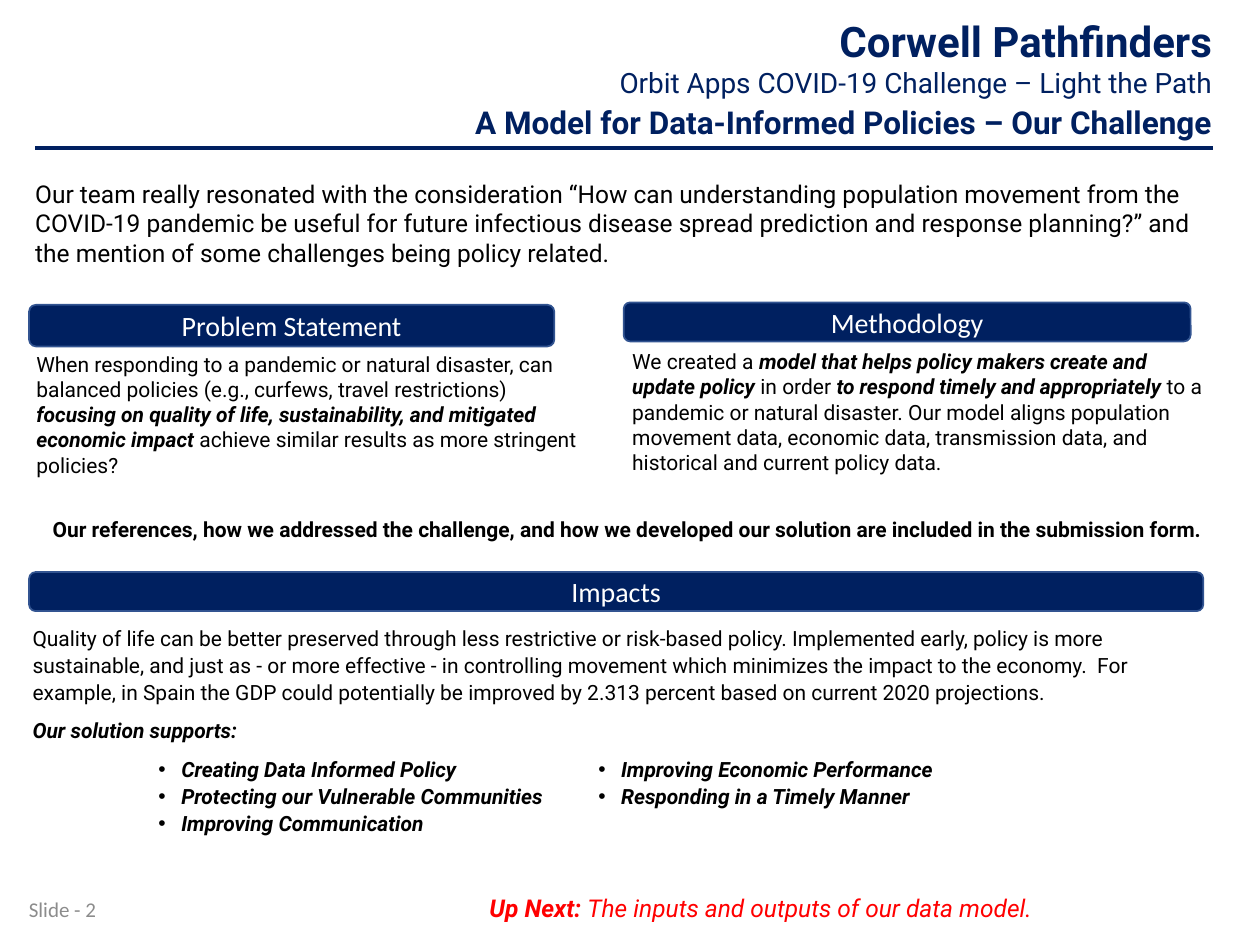
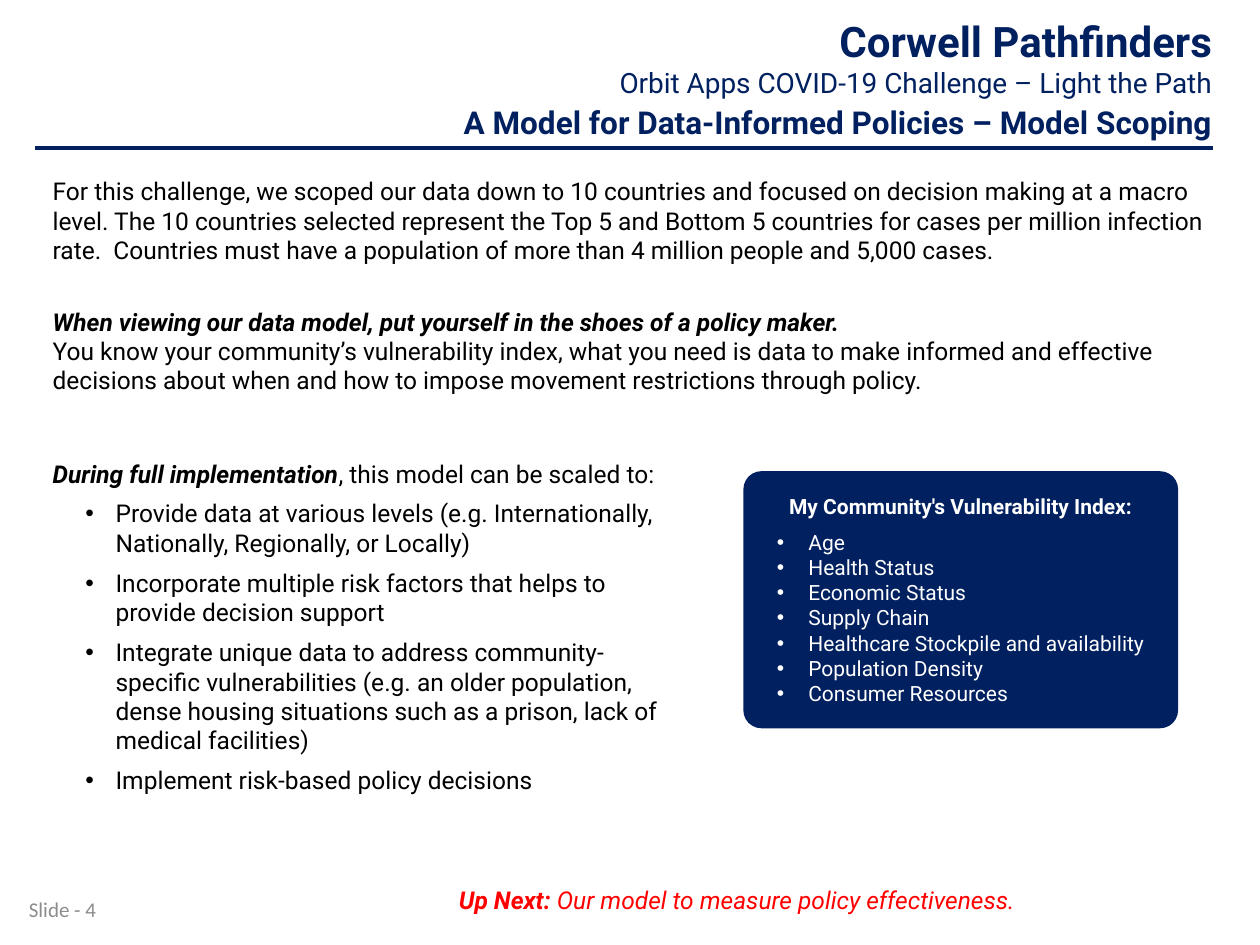
from lxml import etree
from pptx import Presentation
from pptx.dml.color import RGBColor
from pptx.enum.shapes import MSO_CONNECTOR, MSO_SHAPE
from pptx.enum.text import MSO_ANCHOR, MSO_AUTO_SIZE, PP_ALIGN
from pptx.oxml.ns import qn
from pptx.util import Pt

LEFT, CENTER, RIGHT = PP_ALIGN.LEFT, PP_ALIGN.CENTER, PP_ALIGN.RIGHT
TOP, MIDDLE = MSO_ANCHOR.TOP, MSO_ANCHOR.MIDDLE
ROUNDED = MSO_SHAPE.ROUNDED_RECTANGLE
COLORS = {
    "navy": "002060",
    "outline": "325491",
    "white": "FFFFFF",
    "black": "000000",
    "gray": "8C8C8C",
    "red": "FF0000",
}
BODY_FONT, LABEL_FONT = "Roboto", "Calibri"
LOOSE = 1.07


def write_text(shape, paragraphs, size, color="black", font=BODY_FONT, align=LEFT, anchor=TOP,
               spacing=None, before=None, after=None, indent=0, hanging=0):
    """Append paragraphs, each a list of (text, style) runs; style holds b and i, hanging adds a bullet."""
    frame = shape.text_frame
    frame.word_wrap = True
    frame.auto_size = MSO_AUTO_SIZE.NONE
    frame.vertical_anchor = anchor
    for runs in paragraphs:
        paragraph = frame.paragraphs[0] if not frame.text else frame.add_paragraph()
        paragraph.alignment = align
        if spacing:
            paragraph.line_spacing = spacing
        if before:
            paragraph.space_before = Pt(before)
        if after:
            paragraph.space_after = Pt(after)
        properties = paragraph._p.get_or_add_pPr()
        properties.set("marL", str(Pt(indent)))
        properties.set("indent", str(-Pt(hanging)))
        if hanging:
            etree.SubElement(properties, qn("a:buFont")).set("typeface", "Arial")
            etree.SubElement(properties, qn("a:buChar")).set("char", "•")
        for text, style in runs:
            run = paragraph.add_run()
            run.text = text
            run.font.name = font
            run.font.size = Pt(size)
            run.font.bold = "b" in style
            run.font.italic = "i" in style
            run.font.color.rgb = RGBColor.from_string(COLORS[color])


def add_box(slide, box, fill=None, outline=None, rounded=True):
    left, top, width, height = [Pt(length) for length in box]
    if not rounded:
        return slide.shapes.add_textbox(left, top, width, height)
    shape = slide.shapes.add_shape(ROUNDED, left, top, width, height)
    shape.shadow.inherit = False
    if fill:
        shape.fill.solid()
        shape.fill.fore_color.rgb = RGBColor.from_string(COLORS[fill])
    else:
        shape.fill.background()
    if outline:
        shape.line.color.rgb = RGBColor.from_string(COLORS[outline])
        shape.line.width = Pt(1)
    else:
        shape.line.fill.background()
    return shape


presentation = Presentation()
presentation.slide_width, presentation.slide_height = Pt(720), Pt(540)
title_only = presentation.slide_layouts[5]

# Shared header, rule, footer and teaser
pages = [
    ("Our Challenge", (241.2, 55.4, 458.6, 28.8), "Slide - 2",
     "The inputs and outputs of our data model.", (172.8, 504, 519.8, 27.4)),
    ("Model Scoping", (234, 55.4, 465.8, 28.8), "Slide - 4",
     "Our model to measure policy effectiveness.", (150.5, 499.7, 537.1, 27.4)),
]
slides = []
for topic, title_box, number, teaser, teaser_box in pages:
    slide = presentation.slides.add_slide(title_only)
    slides.append(slide)

    title = slide.shapes.title
    title.left, title.top, title.width, title.height = [Pt(length) for length in title_box]
    write_text(title, [[(f"A Model for Data-Informed Policies – {topic}", "b")]], 18, "navy", align=RIGHT)

    header = add_box(slide, (152.6, 7.9, 547.2, 69.1), rounded=False)
    header.text_frame.margin_top = Pt(1)
    write_text(header, [[("Corwell Pathfinders", "b")]], 24, "navy", align=RIGHT)
    write_text(header, [[("Orbit Apps COVID-19 Challenge – Light the Path", "")]], 16, "navy", align=RIGHT)

    rule = slide.shapes.add_connector(MSO_CONNECTOR.STRAIGHT, Pt(20.2), Pt(84.5), Pt(693.4), Pt(84.5))
    rule.line.color.rgb = RGBColor.from_string(COLORS["navy"])
    rule.line.width = Pt(2)
    etree.SubElement(rule._element.spPr, qn("a:effectLst"))

    footer = add_box(slide, (9.4, 505.4, 167.8, 28.8), rounded=False)
    write_text(footer, [[(number, "")]], 12, "gray", LABEL_FONT, anchor=MIDDLE)

    up_next = add_box(slide, teaser_box)
    write_text(up_next, [[("Up Next: ", "bi"), (teaser, "i")]], 14, "red", align=CENTER,
               spacing=LOOSE, indent=4.3)

challenge, scoping = slides

# Challenge slide
for heading, box in [
    ("Problem Statement", (16.6, 174.2, 300.2, 23.8)),
    ("Methodology", (356.4, 172.8, 324, 22.3)),
    ("Impacts", (16.6, 326.9, 671, 22.3)),
]:
    bar = add_box(challenge, box, "navy", "outline")
    write_text(bar, [[(heading, "")]], 16, "white", LABEL_FONT, CENTER, MIDDLE)

introduction = add_box(challenge, (13, 98.6, 697.7, 98.6), rounded=False)
write_text(introduction, [[(
    "Our team really resonated with the consideration “How can understanding population movement from "
    "the COVID-19 pandemic be useful for future infectious disease spread prediction and response "
    "planning?” and the mention of some challenges being policy related.", "")]], 14)

problem = add_box(challenge, (13.7, 197.3, 325.4, 98.6), rounded=False)
write_text(problem, [[
    ("When responding to a pandemic or natural disaster, can balanced policies (e.g., curfews, travel "
     "restrictions) ", ""),
    ("focusing on quality of life, sustainability, and mitigated economic impact ", "bi"),
    ("achieve similar results as more stringent policies?", ""),
]], 12)

methodology = add_box(challenge, (354.2, 195.8, 343.4, 98.6), rounded=False)
write_text(methodology, [[
    ("We created a ", ""),
    ("model that helps policy makers create and update policy", "bi"),
    (" in order ", ""),
    ("to respond timely and appropriately", "bi"),
    (" to a pandemic or natural disaster. Our model aligns population movement data, economic data, "
     "transmission data, and historical and current policy data.", ""),
]], 12)

references = add_box(challenge, (0, 290.9, 713, 21.6), rounded=False)
write_text(references, [[(
    "Our references, how we addressed the challenge, and how we developed our solution are included "
    "in the submission form.", "b")]], 12, align=CENTER, spacing=LOOSE, indent=4.3)

impacts = add_box(challenge, (11.5, 352.8, 680.4, 74.9), rounded=False)
write_text(impacts, [[(
    "Quality of life can be better preserved through less restrictive or risk-based policy. Implemented "
    "early, policy is more sustainable, and just as - or more effective - in controlling movement which "
    "minimizes the impact to the economy.  For example, in Spain the GDP could potentially be improved "
    "by 2.313 percent based on current 2020 projections.", "")]], 12, spacing=LOOSE)
write_text(impacts, [[("Our solution supports:", "bi")]], 12, spacing=LOOSE, before=6.3)

for box, benefits in [
    ((83.5, 427.7, 268.6, 52.6),
     ["Creating Data Informed Policy", "Protecting our Vulnerable Communities", "Improving Communication"]),
    ((334.8, 427.7, 254.2, 37.4),
     ["Improving Economic Performance", "Responding in a Timely Manner"]),
]:
    benefit_list = add_box(challenge, box, rounded=False)
    write_text(benefit_list, [[(benefit, "bi")] for benefit in benefits], 12,
               spacing=LOOSE, indent=13, hanging=13)

# Scoping slide
scope = add_box(scoping, (23, 97.2, 673.9, 167.8), rounded=False)
write_text(scope, [[(
    "For this challenge, we scoped our data down to 10 countries and focused on decision making at a "
    "macro level. The 10 countries selected represent the Top 5 and Bottom 5 countries for cases per "
    "million infection rate.  Countries must have a population of more than 4 million people and "
    "5,000 cases.", "")]], 14)
write_text(scope, [[(
    "When viewing our data model, put yourself in the shoes of a policy maker.", "bi")]], 14, before=24)
write_text(scope, [[(
    "You know your community’s vulnerability index, what you need is data to make informed and effective "
    "decisions about when and how to impose movement restrictions through policy.", "")]], 14)

implementation = add_box(scoping, (23, 258.5, 377.3, 167.8), rounded=False)
write_text(implementation, [[
    ("During full implementation", "bi"), (", this model can be scaled to:", "")]], 14, after=6)
goals = [
    "Provide data at various levels (e.g. Internationally, Nationally, Regionally, or Locally)",
    "Incorporate multiple risk factors that helps to provide decision support",
    "Integrate unique data to address community-specific vulnerabilities (e.g. an older population, "
    "dense housing situations such as a prison, lack of medical facilities)",
    "Implement risk-based policy decisions",
]
write_text(implementation, [[(goal, "")] for goal in goals], 14, after=6, indent=36, hanging=17.3)

index_card = add_box(scoping, (424.8, 269.3, 248.4, 146.9), "navy")
index_card.adjustments[0] = 0.07
write_text(index_card, [[("My Community's Vulnerability Index:", "b")]], 12, "white",
           align=CENTER, anchor=MIDDLE, after=6)
factors = ["Age", "Health Status", "Economic Status", "Supply Chain",
           "Healthcare Stockpile and availability", "Population Density", "Consumer Resources"]
write_text(index_card, [[(factor, "")] for factor in factors], 12, "white",
           anchor=MIDDLE, indent=27, hanging=18)

presentation.save("out.pptx")
